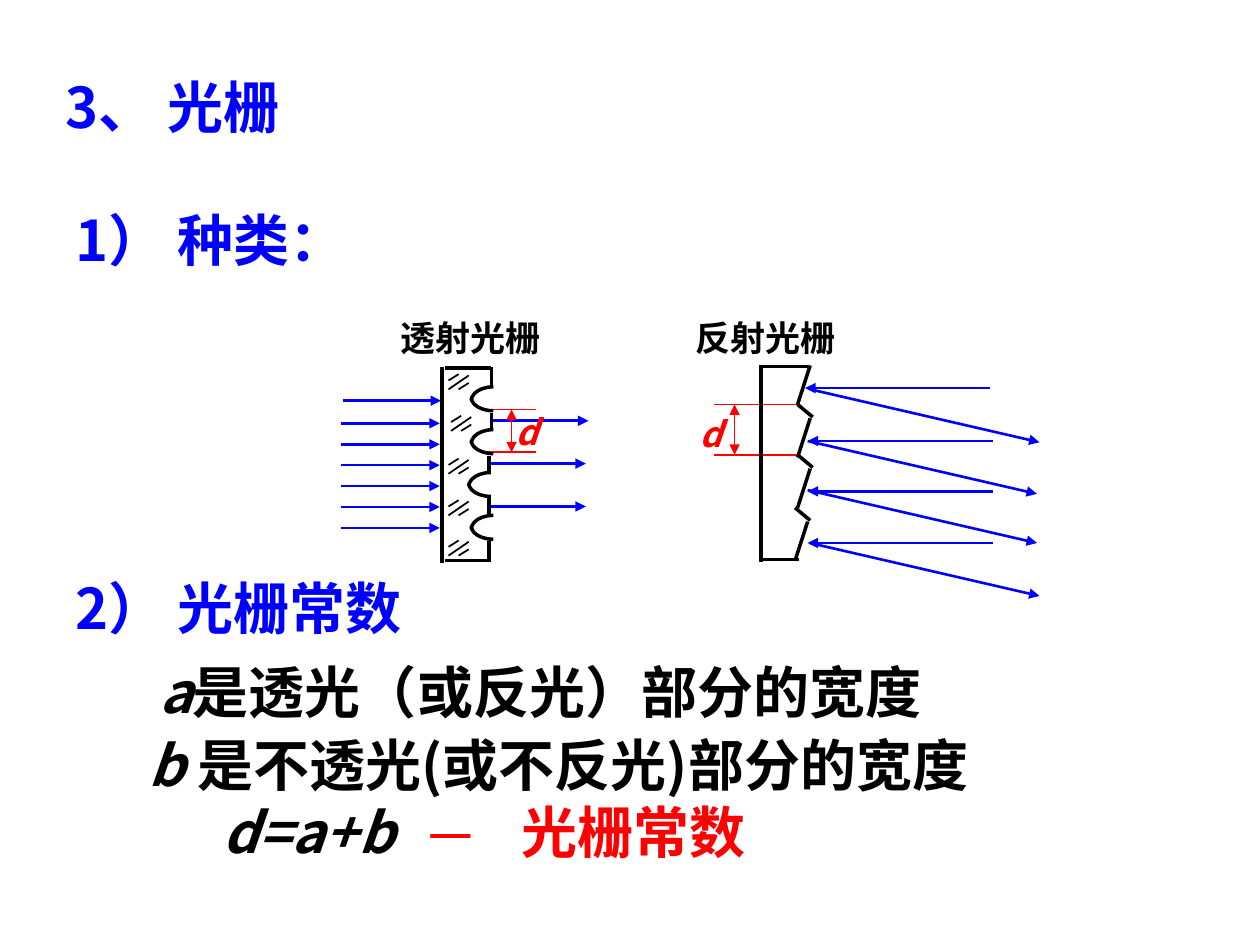
from dataclasses import dataclass

from lxml import etree
from pptx import Presentation
from pptx.dml.color import RGBColor
from pptx.enum.shapes import MSO_CONNECTOR as Connector, MSO_SHAPE as Shape
from pptx.enum.text import MSO_AUTO_SIZE as AutoSize
from pptx.oxml.ns import qn
from pptx.util import Inches, Pt

BLUE = RGBColor(0x00, 0x00, 0xFF)
RED = RGBColor(0xFF, 0x00, 0x00)
BLACK = RGBColor(0x00, 0x00, 0x00)
FONT = "Noto Sans CJK SC"

deck = Presentation()
deck.slide_width, deck.slide_height = Inches(10), Inches(7.5)
page = deck.slides.add_slide(deck.slide_layouts[6])


@dataclass
class Span:
    text: str
    italic: bool = False
    color: RGBColor = BLACK
    font: str = FONT


def add_text(left: float, top: float, width: float, height: float, *spans: Span,
             size: int = 32, inset: tuple[float, float] = (0.1, 0.05),
             tabs: tuple[float, ...] = ()) -> None:
    box = page.shapes.add_textbox(Inches(left), Inches(top), Inches(width), Inches(height))
    frame = box.text_frame
    frame.word_wrap = True
    frame.auto_size = AutoSize.NONE
    frame.margin_left = frame.margin_right = Inches(inset[0])
    frame.margin_top = frame.margin_bottom = Inches(inset[1])
    para = frame.paragraphs[0]
    if tabs:
        tab_list = etree.SubElement(para._p.get_or_add_pPr(), qn("a:tabLst"))
        for stop in tabs:
            etree.SubElement(tab_list, qn("a:tab"), pos=str(Inches(stop)), algn="l")
    for span in spans:
        run = para.add_run()
        run.text = span.text
        run.font.size = Pt(size)
        run.font.bold = True
        run.font.italic = span.italic
        run.font.color.rgb = span.color
        run.font.name = span.font
        etree.SubElement(run._r.get_or_add_rPr(), qn("a:ea"), typeface=span.font)


def add_label(left: float, top: float, width: float, height: float, span: Span) -> None:
    add_text(left, top, width, height, span, size=20, inset=(0.01, 0.01))


def add_line(x1: float, y1: float, x2: float, y2: float, color: RGBColor = BLACK,
             weight: float = 2, head: bool = False, tail: bool = False) -> None:
    line = page.shapes.add_connector(
        Connector.STRAIGHT, Inches(x1), Inches(y1), Inches(x2), Inches(y2))
    line.line.color.rgb = color
    line.line.width = Pt(weight)
    for tag, wanted in (("a:headEnd", head), ("a:tailEnd", tail)):
        if wanted:
            etree.SubElement(line.line._get_or_add_ln(), qn(tag), type="triangle")
    etree.SubElement(line._element.spPr, qn("a:effectLst"))


def add_ray(x1: float, y1: float, x2: float, y2: float, **ends: bool) -> None:
    add_line(x1, y1, x2, y2, BLUE, 1.5, **ends)


def add_spacing(x: float, left: float, right: float, top: float, bottom: float) -> None:
    """Mark the grating constant between two red limits."""
    add_line(x, top, x, bottom, RED, 0.75, head=True, tail=True)
    for y in (top, bottom):
        add_line(left, y, right, y, RED, 1)


def add_groove(left: float, top: float) -> None:
    """Draw a rounded groove as an upper and a lower quarter arc."""
    for y, height, start, end in ((top, 0.22, 108, 162), (top - 0.02, 0.21, 54, 108)):
        arc = page.shapes.add_shape(
            Shape.ARC, Inches(left), Inches(y), Inches(0.35), Inches(height))
        arc.adjustments[0], arc.adjustments[1] = start, end
        arc.shadow.inherit = False
        arc.fill.background()
        arc.line.color.rgb = BLACK
        arc.line.width = Pt(2)


def add_hatch(left: float, top: float) -> None:
    """Draw three slanted glass strokes."""
    for x1, y1, x2, y2 in ((0.16, 0.07, 0.08, 0.12), (0.08, 0, 0, 0.05), (0.16, 0.01, 0, 0.12)):
        add_line(left + x1, top + y1, left + x2, top + y2, weight=1)


# Headings
add_text(0.42, 0.53, 2.08, 1.17, Span("3、 光栅", color=BLUE))
add_text(0.5, 1.58, 2.83, 0.64, Span("1） 种类：", color=BLUE))
add_text(0.5, 4.5, 3.92, 0.64, Span("2） 光栅常数", color=BLUE))

# Reflection grating: rays
for x, y in ((6.39, 3.08), (6.41, 3.5), (6.41, 3.9), (6.41, 4.31)):
    add_ray(x, y, x + 1.47, y, head=True)
for x, y in ((6.43, 3.09), (6.41, 3.5), (6.41, 3.89), (6.43, 4.31)):
    add_ray(x, y, x + 1.82, y + 0.42, tail=True)

# Reflection grating: spacing and body
add_spacing(5.83, 5.67, 6.33, 3.21, 3.61)
add_label(5.54, 3.26, 0.39, 0.28, Span("d", True, RED))
add_label(5.51, 2.5, 1.53, 0.39, Span("反射光栅"))
add_line(6.04, 2.9, 6.04, 4.46)
add_line(6.04, 2.91, 6.41, 2.91)
add_line(6.04, 4.44, 6.34, 4.44)
for x, y in ((6.43, 2.9), (6.43, 3.32), (6.43, 3.72), (6.41, 4.14)):
    add_line(x, y, x - 0.1, y + 0.31)
for x, y in ((6.33, 3.21), (6.33, 3.61), (6.31, 4.03)):
    add_line(x, y, x + 0.12, y + 0.1)

# Transmission grating: rays
for x, y in ((3.89, 3.34), (3.87, 3.68), (3.87, 4.02)):
    add_ray(x, y, x + 0.78, y, tail=True)
add_ray(2.72, 3.18, 3.5, 3.18, tail=True)
for row in range(6):
    y = 3.36 + row * 0.166
    add_ray(2.71, y, 3.49, y, tail=True)

# Transmission grating: spacing and body
add_spacing(4.06, 3.86, 4.25, 3.25, 3.59)
add_label(4.08, 3.25, 0.43, 0.29, Span("d", True, RED))
add_label(3.17, 2.5, 1.38, 0.38, Span("透射光栅"))
add_line(3.51, 2.91, 3.51, 4.47)
for y in (2.92, 4.45):
    add_line(3.53, y, 3.9, y)
for x, top, bottom in ((3.9, 2.91, 3.08), (3.9, 3.28, 3.42), (3.88, 3.62, 3.76),
                       (3.88, 3.94, 4.08), (3.88, 4.29, 4.46)):
    add_line(x, top, x, bottom)
for x, y in ((3.74, 3.07), (3.74, 3.41), (3.72, 3.75), (3.74, 4.09)):
    add_groove(x, y)
for x, y in ((3.56, 2.97), (3.58, 3.3), (3.56, 3.64), (3.56, 3.97), (3.56, 4.29)):
    add_hatch(x, y)

# Definition of the grating constant
add_text(1.17, 5.17, 6.58, 0.64, Span("a", True), Span("是透光（或反光）部分的宽度"))
add_text(1.67, 6.28, 5, 1.17, Span("d=a+b\t", True), Span("─\t", True, RED, "Arial"),
         Span("光栅常数", color=RED), tabs=(1.65, 2.37))
add_text(1.08, 5.75, 7, 1.17, Span("b ", True), Span("是不透光(或不反光)部分的宽度"))

deck.save("out.pptx")
